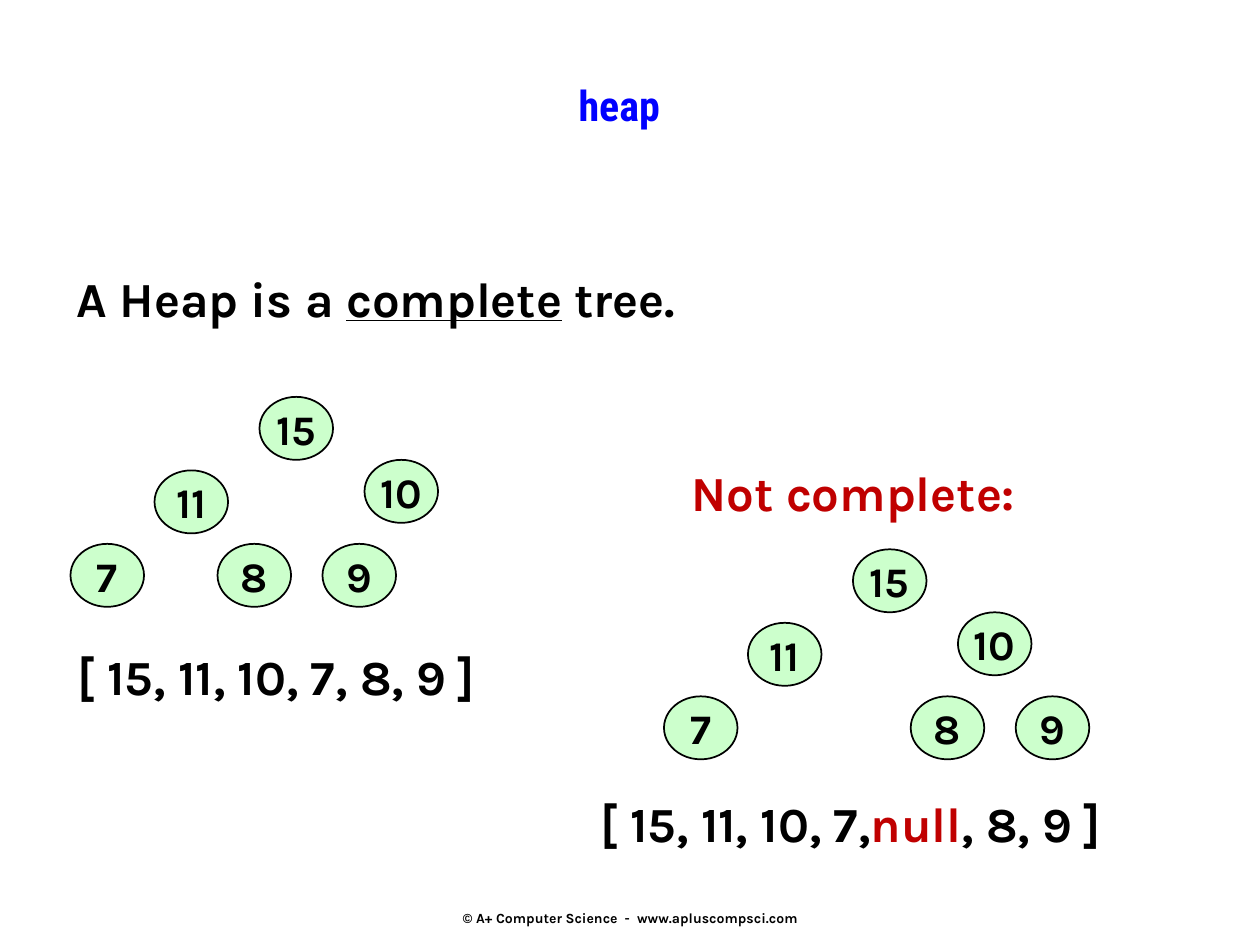
from pptx import Presentation
from pptx.dml.color import RGBColor
from pptx.enum.shapes import MSO_SHAPE
from pptx.enum.text import MSO_ANCHOR, PP_ALIGN
from pptx.util import Inches, Pt

BLACK = RGBColor(0x00, 0x00, 0x00)
BLUE = RGBColor(0x00, 0x00, 0xFF)
RED = RGBColor(0xC0, 0x00, 0x00)
GREEN = RGBColor(0xCC, 0xFF, 0xCC)
BODY_FONT = "Karla"
TITLE_FONT = "Roboto Condensed"

# Tree grid: twelfths of an inch, as (column, row) from the tree's corner
CELL = 1 / 12
NODE_COLUMNS, NODE_ROWS = 7, 6
UPPER_NODES = [("15", 18, 0), ("11", 8, 7), ("10", 28, 6), ("7", 0, 14)]
COMPLETE_TREE = UPPER_NODES + [("8", 14, 14), ("9", 24, 14)]
INCOMPLETE_TREE = UPPER_NODES + [("8", 23.5, 14), ("9", 33.5, 14)]


def style(para, size, color=BLACK, font=BODY_FONT):
    para.font.name = font
    para.font.size = Pt(size)
    para.font.bold = True
    para.font.color.rgb = color


def add_line(page, bounds, parts, size=28, color=BLACK, font=BODY_FONT,
             align=PP_ALIGN.LEFT):
    """Place one line of text and return its spans, one for each part."""
    box = page.shapes.add_textbox(*map(Inches, bounds))
    box.text_frame.word_wrap = align == PP_ALIGN.CENTER
    para = box.text_frame.paragraphs[0]
    para.alignment = align
    style(para, size, color, font)
    spans = []
    for part in parts:
        span = para.add_run()
        span.text = part
        spans.append(span)
    return spans


def add_tree(page, left, top, nodes):
    tree = page.shapes.add_group_shape()
    for label, column, row in nodes:
        node = tree.shapes.add_shape(
            MSO_SHAPE.OVAL,
            Inches(left + column * CELL), Inches(top + row * CELL),
            Inches(NODE_COLUMNS * CELL), Inches(NODE_ROWS * CELL))
        node.shadow.inherit = False
        node.fill.solid()
        node.fill.fore_color.rgb = GREEN
        node.line.color.rgb = BLACK
        node.line.width = Pt(1)
        frame = node.text_frame
        frame.word_wrap = False
        frame.vertical_anchor = MSO_ANCHOR.MIDDLE
        frame.text = label
        frame.paragraphs[0].alignment = PP_ALIGN.CENTER
        style(frame.paragraphs[0], 24)


def add_complete_example(page, left, top):
    add_tree(page, left + 0.04, top, COMPLETE_TREE)
    add_line(page, (left, top + 1.93, 3.71, 0.57), ["[ 15, 11, 10, 7, 8, 9 ]"])


def add_incomplete_example(page, left, top):
    add_line(page, (left + 0.72, top, 2.95, 0.57), ["Not complete:"], color=RED)
    add_tree(page, left + 0.6, top + 0.74, INCOMPLETE_TREE)
    spans = add_line(page, (left, top + 2.63, 4.57, 0.57),
                     ["[ 15, 11, 10, 7,", "null", ", 8, 9 ]"])
    spans[1].font.color.rgb = RED


def main():
    deck = Presentation()
    deck.slide_width, deck.slide_height = Inches(10), Inches(7.5)
    page = deck.slides.add_slide(deck.slide_layouts[6])

    # Title and statement
    add_line(page, (1.5, 0.58, 6.83, 0.92), ["heap"], 24, BLUE, TITLE_FONT,
             PP_ALIGN.CENTER)
    spans = add_line(page, (0.51, 2.08, 5.25, 0.57),
                     ["A Heap is a ", "complete", " tree."])
    spans[1].font.underline = True

    # The two trees with their arrays
    add_complete_example(page, 0.52, 3.15)
    add_incomplete_example(page, 4.67, 3.62)

    # Footer
    add_line(page, (3.42, 7.17, 3.17, 0.25),
             ["© A+ Computer Science  -  www.apluscompsci.com"], 8,
             align=PP_ALIGN.CENTER)

    deck.save("out.pptx")


if __name__ == "__main__":
    main()
